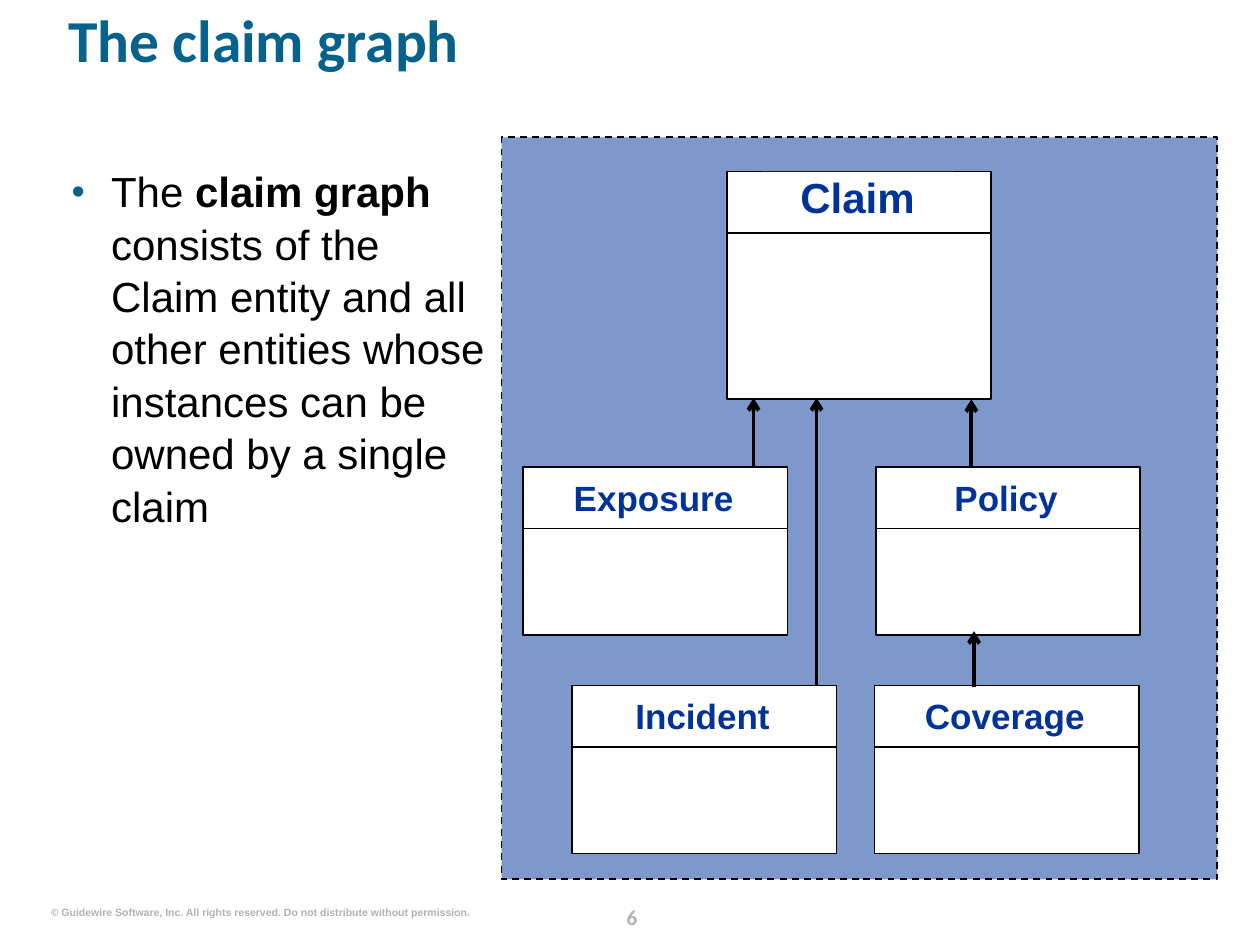
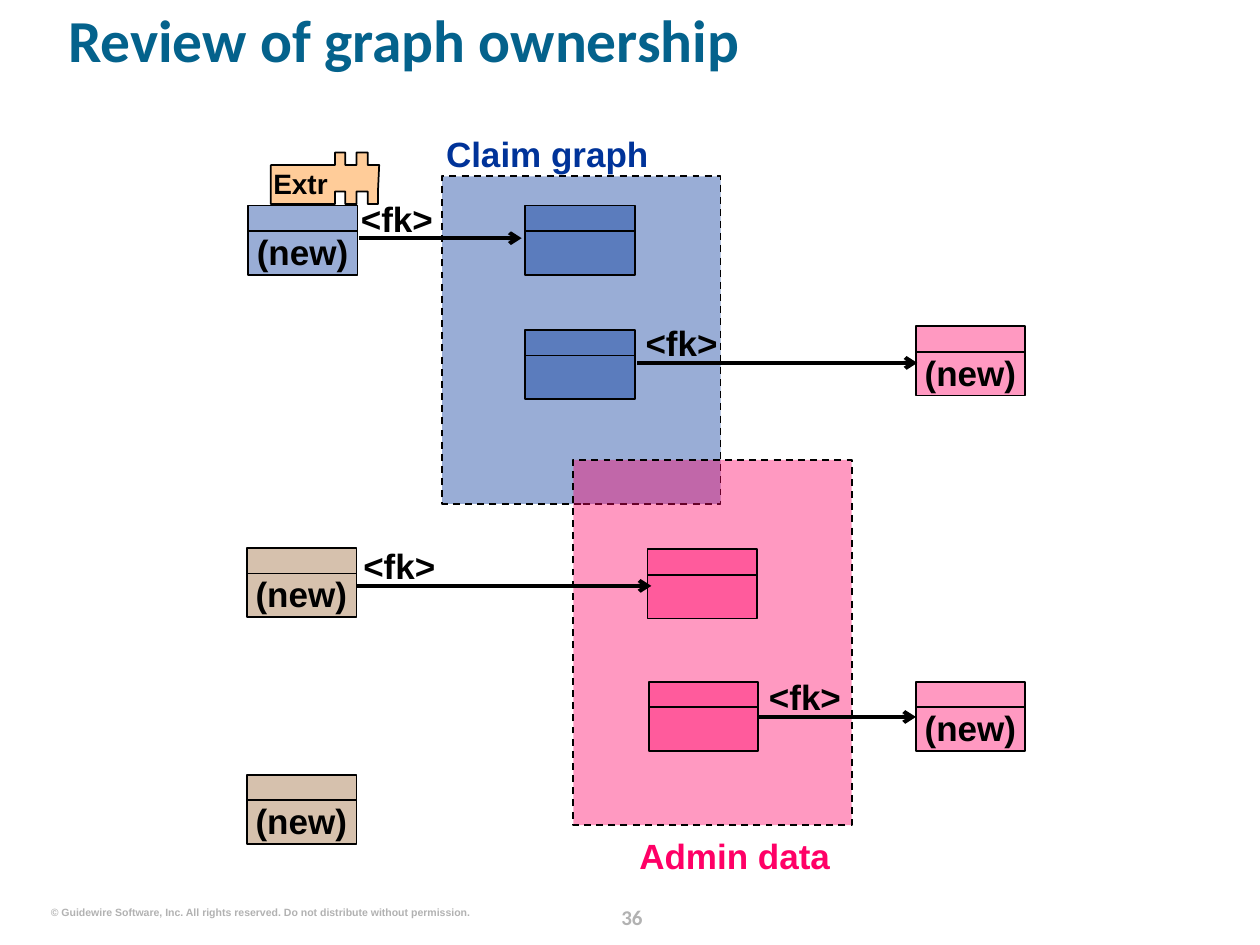
"""Build two slides on the claim graph and on graph ownership."""
from itertools import cycle

from lxml.etree import SubElement
from pptx import Presentation
from pptx.dml.color import RGBColor
from pptx.enum.dml import MSO_LINE
from pptx.enum.shapes import MSO_CONNECTOR, MSO_SHAPE
from pptx.enum.text import MSO_ANCHOR, PP_ALIGN
from pptx.oxml.ns import qn
from pptx.util import Pt

TEAL = RGBColor(0x04, 0x62, 0x8C)
NAVY = RGBColor(0x00, 0x33, 0x99)
PINK = RGBColor(0xFF, 0x00, 0x66)
BROWN = RGBColor(0x99, 0x66, 0x33)
PEACH = RGBColor(0xFF, 0xCC, 0x99)
GREY = RGBColor(0xB2, 0xB2, 0xB2)
BLACK = RGBColor(0, 0, 0)
WHITE = RGBColor(0xFF, 0xFF, 0xFF)

RIGHTS = "© Guidewire Software, Inc. All rights reserved. Do not distribute without permission."
BODY = [
    ("The ", False),
    ("claim graph", True),
    (" consists of the Claim entity and all other entities whose"
     " instances can be owned by a single claim", False),
]

CARD_W, CARD_LINE = 151, 35
CARDS = [
    ("Claim", 415.5, 98, 130, 24),
    ("Exposure", 299, 267, 96, 20),
    ("Incident", 327, 391.7, 96, 20),
    ("Policy", 500.4, 267, 96, 20),
    ("Coverage", 499.7, 391.7, 96, 20),
]
OWNERS = [
    (466.6, 391.7, 227.5),
    (556.6, 392.4, 360.7),
    (430.6, 266.5, 227.5),
    (555.1, 267, 228.2),
]

GRAPHS = [
    (NAVY, (252.7, 100.8, 159.1, 187.2)),
    (PINK, (327.6, 262.8, 159.1, 208.8)),
]
NAMES = [
    ("Claim graph", NAVY, (254.9, 75.6, 124.6, 24), PP_ALIGN.LEFT),
    ("Admin data", PINK, (329, 476.6, 145.4, 24), PP_ALIGN.RIGHT),
]
MINI_W, MINI_H, MINI_LINE = 62.6, 39.6, 14.5
MINIS = [
    (141.8, 117.4, NAVY, "(new)"),
    (300.2, 117.4, NAVY, ""),
    (300.2, 188.6, NAVY, ""),
    (523.4, 186.5, PINK, "(new)"),
    (370.1, 313.9, PINK, ""),
    (370.8, 389.5, PINK, ""),
    (523.4, 389.5, PINK, "(new)"),
    (141.1, 313.2, BROWN, "(new)"),
    (141.1, 442.8, BROWN, "(new)"),
]
KEYS = [
    (205.2, 298.1, 136.1, 200.2),
    (364.3, 524.2, 207.4, 362.9),
    (203.8, 372.2, 334.8, 201.6),
    (433.4, 523.4, 409.7, 433.4),
]
TEETH = [191.5, 197.3, 203.8, 210.2]
TOP, TOP_IN, LOW_IN, LOW = 87.1, 94.3, 109.4, 116.6


def text(slide, runs, box, size=20, color=BLACK, font="Arial", bold=True,
         align=PP_ALIGN.LEFT, gap=None, fill=None, wrap=True, bullet=False):
    shape = slide.shapes.add_textbox(*map(Pt, box))
    if fill is not None:
        shape.fill.solid()
        shape.fill.fore_color.rgb = fill
    frame = shape.text_frame
    frame.word_wrap = wrap
    frame.vertical_anchor = MSO_ANCHOR.TOP
    frame.margin_left = frame.margin_right = 0
    frame.margin_top = frame.margin_bottom = 0
    para = frame.paragraphs[0]
    para.alignment = align
    if gap:
        para.line_spacing = gap
    if bullet:
        mark(para)
    for words, heavy in [(runs, bold)] if isinstance(runs, str) else runs:
        run = para.add_run()
        run.text = words
        run.font.name, run.font.size = font, Pt(size)
        run.font.bold = heavy
        run.font.color.rgb = color


def mark(para):
    props = para._p.get_or_add_pPr()
    props.set("marL", str(Pt(22.5)))
    props.set("indent", str(-Pt(22.5)))
    tint = SubElement(props, qn("a:buClr"))
    SubElement(tint, qn("a:srgbClr"), val=str(TEAL))
    SubElement(props, qn("a:buSzPct"), val="90000")
    SubElement(props, qn("a:buFont"), typeface="Arial")
    SubElement(props, qn("a:buChar"), char="•")


def paint(shape, color, alpha=None, dash=False):
    shape.shadow.inherit = False
    shape.fill.solid()
    shape.fill.fore_color.rgb = color
    if alpha:
        tint = shape._element.spPr.find(".//" + qn("a:srgbClr"))
        SubElement(tint, qn("a:alpha"), val=str(alpha * 1000))
    shape.line.color.rgb = BLACK
    shape.line.width = Pt(1)
    if dash:
        shape.line.dash_style = MSO_LINE.DASH


def rect(slide, box, color, **look):
    paint(slide.shapes.add_shape(MSO_SHAPE.RECTANGLE, *map(Pt, box)), color, **look)


def link(slide, ends, width=1, arrow=False):
    line = slide.shapes.add_connector(MSO_CONNECTOR.STRAIGHT, *map(Pt, ends))
    line.line.color.rgb = BLACK
    line.line.width = Pt(width)
    props = line._element.spPr
    if arrow:
        SubElement(props.find(qn("a:ln")), qn("a:tailEnd"), type="arrow")
    SubElement(props, qn("a:effectLst"))


def base(deck, title, number):
    slide = deck.slides.add_slide(deck.slide_layouts[6])
    text(slide, number, (340.6, 513.4, 41, 18), size=12, color=GREY,
         font="Calibri", align=PP_ALIGN.CENTER, gap=Pt(18))
    text(slide, RIGHTS, (28.8, 517.7, 239.8, 7.2), size=6, color=GREY,
         align=PP_ALIGN.RIGHT, wrap=False)
    text(slide, title, (38.9, 9.4, 655.2, 58.3), size=34, color=TEAL,
         font="Calibri", gap=0.8)
    return slide


def card(slide, name, left, top, height, size):
    rect(slide, (left, top, CARD_W, height), WHITE)
    text(slide, name, (left + 20, top + 29 - size * 1.2, 109, size * 1.2),
         size=size, color=NAVY, align=PP_ALIGN.CENTER, fill=WHITE)
    y = top + CARD_LINE
    link(slide, (left, y, left + CARD_W, y))


def mini(slide, left, top, color, label):
    rect(slide, (left, top, MINI_W, MINI_H), color, alpha=40)
    y = top + MINI_LINE
    link(slide, (left, y, left + MINI_W, y))
    if label:
        text(slide, label, (left + 4.5, y - 0.3, 53.3, 24), align=PP_ALIGN.CENTER)


def edge(teeth, near, far):
    steps = cycle([(near, far), (far, near)])
    return [(x, y) for x, pair in zip(teeth, steps) for y in pair]


def puzzle(slide):
    dots = [(216, LOW_IN), (216, LOW), *edge(TEETH[::-1], LOW, LOW_IN),
            (154.8, LOW), (154.8, TOP_IN), *edge(TEETH, TOP_IN, TOP),
            (216.7, TOP_IN)]
    dots = [(Pt(x), Pt(y)) for x, y in dots]
    form = slide.shapes.build_freeform(*dots[0])
    form.add_line_segments(dots[1:], close=True)
    paint(form.convert_to_shape(), PEACH)
    text(slide, "Extr", (156.2, 95, 56.9, 19.4), size=16)


def claim(deck):
    slide = base(deck, "The claim graph", "6")
    rect(slide, (286.6, 78.5, 409, 424), NAVY, alpha=50, dash=True)
    text(slide, BODY, (41, 93.6, 241.2, 409), size=24, gap=1.04, bullet=True)
    for item in CARDS:
        card(slide, *item)
    for x, start, end in OWNERS:
        link(slide, (x, start, x, end), width=2.25, arrow=True)


def review(deck):
    slide = base(deck, "Review of graph ownership", "36")
    for color, box in GRAPHS:
        rect(slide, box, color, alpha=40, dash=True)
    for name, color, box, align in NAMES:
        text(slide, name, box, color=color, align=align)
    for item in MINIS:
        mini(slide, *item)
    for start, end, y, left in KEYS:
        link(slide, (start, y, end, y), width=2.25, arrow=True)
        text(slide, "<fk>", (left, y - 23.5, 53.3, 24), align=PP_ALIGN.CENTER)
    puzzle(slide)


def main():
    deck = Presentation()
    deck.slide_width, deck.slide_height = Pt(720), Pt(540)
    claim(deck)
    review(deck)
    deck.save("out.pptx")


if __name__ == "__main__":
    main()
